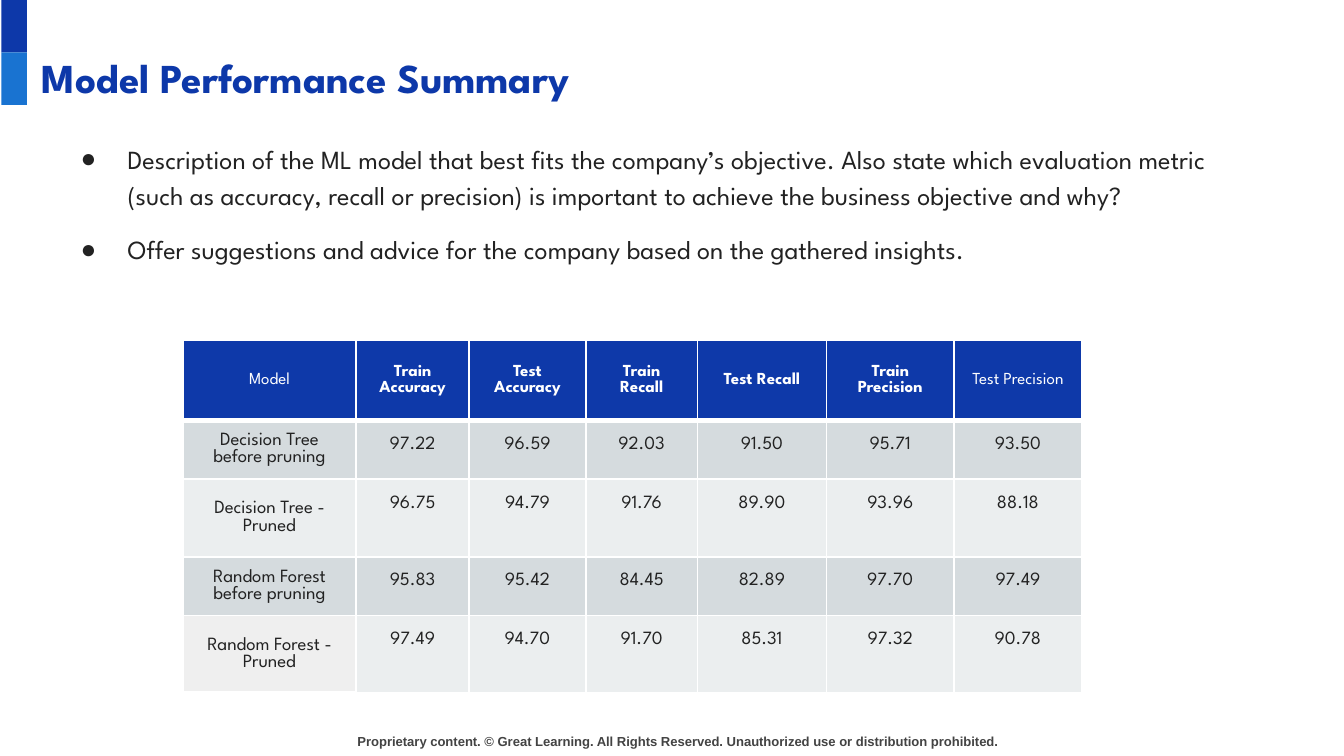
from pptx import Presentation
from pptx.dml.color import RGBColor
from pptx.enum.shapes import MSO_SHAPE
from pptx.enum.text import MSO_ANCHOR, PP_ALIGN
from pptx.oxml.ns import qn
from pptx.util import Inches, Pt
from lxml.etree import SubElement

# Content
TITLE = "Model Performance Summary"
POINTS = [
    "Description of the ML model that best fits the company’s objective. Also state which "
    "evaluation metric (such as accuracy, recall or precision) is important to achieve the "
    "business objective and why?",
    "Offer suggestions and advice for the company based on the gathered insights.",
]
FOOTER = ("Proprietary content. © Great Learning. All Rights Reserved. "
          "Unauthorized use or distribution prohibited.")
HEADS = ["Model", "Train Accuracy", "Test Accuracy", "Train Recall",
         "Test Recall", "Train Precision", "Test Precision"]
SCORES = [
    ("Decision Tree before pruning", "97.22", "96.59", "92.03", "91.50", "95.71", "93.50"),
    ("Decision Tree - Pruned", "96.75", "94.79", "91.76", "89.90", "93.96", "88.18"),
    ("Random Forest before pruning", "95.83", "95.42", "84.45", "82.89", "97.70", "97.49"),
    ("Random Forest - Pruned", "97.49", "94.70", "91.70", "85.31", "97.32", "90.78"),
]
LIGHT_HEADS = ("Model", "Test Precision")
COLS = [1.29, 0.84, 0.87, 0.83, 0.96, 0.95, 0.95]
ROWS = [0.6, 0.42, 0.58, 0.42, 0.58]
FONT = "League Spartan"
BLUE, SKY, INK, WHITE = "0D38A9", "1973D1", "222222", "FFFFFF"
BANDS = ["D5DBDE", "EBEEEF"]


def paint(fill, color):
    fill.solid()
    fill.fore_color.rgb = RGBColor.from_string(color)


def style(par, size, color, bold=False, font=FONT):
    for run in par.runs:
        run.font.name, run.font.size, run.font.bold = font, Pt(size), bold
        run.font.color.rgb = RGBColor.from_string(color)


def place(shape, left, top, width, height):
    shape.left, shape.top = Inches(left), Inches(top)
    shape.width, shape.height = Inches(width), Inches(height)


def inset(box, side, top, bottom):
    box.margin_left = box.margin_right = Inches(side)
    box.margin_top, box.margin_bottom = Inches(top), Inches(bottom)


def add_text(left, top, width, height, side=0):
    box = slide.shapes.add_textbox(0, 0, 0, 0)
    place(box, left, top, width, height)
    frame = box.text_frame
    frame.word_wrap = True
    inset(frame, side, 0.01, 0)
    return frame


def add_bullet(par):
    props = par._p.get_or_add_pPr()
    props.set("marL", str(Inches(0.5)))
    props.set("indent", str(Inches(-0.35)))
    tint = SubElement(props, qn("a:buClr"))
    SubElement(tint, qn("a:srgbClr"), val=INK)
    SubElement(props, qn("a:buFont"), typeface="Arial")
    SubElement(props, qn("a:buChar"), char="●")


def add_edges(cell, base):
    props = cell._tc.get_or_add_tcPr()
    for side in "LRTB":
        width = Pt(base if side == "B" else 1)
        line = SubElement(props, qn("a:ln" + side), w=str(width))
        fill = SubElement(line, qn("a:solidFill"))
        SubElement(fill, qn("a:srgbClr"), val=WHITE)


# A 16:9 slide
deck = Presentation()
deck.slide_width = Inches(10)
deck.slide_height = deck.slide_width * 9 // 16
slide = deck.slides.add_slide(deck.slide_layouts[5])

# Corner blocks
for i, color in enumerate([BLUE, SKY]):
    block = slide.shapes.add_shape(MSO_SHAPE.RECTANGLE, 0, 0, 0, 0)
    place(block, 0.01, 0.39 * i, 0.19, 0.39)
    block.shadow.inherit = False
    paint(block.fill, color)
    block.line.fill.background()

# Title
title = slide.shapes.title
place(title, 0.3, 0.38, 4.44, 0.38)
frame = title.text_frame
frame.text = TITLE
frame.vertical_anchor = MSO_ANCHOR.TOP
inset(frame, 0.01, 0.01, 0)
frame.paragraphs[0].alignment = PP_ALIGN.LEFT
style(frame.paragraphs[0], 22, BLUE, True)

# Footer
frame = add_text(2.65, 5.45, 5.4, 0.13, 0.01)
frame.text = FOOTER
style(frame.paragraphs[0], 7, "434343", True, "Arial")

# Bullet points
frame = add_text(0.45, 1.02, 8.99, 1.2)
for i, point in enumerate(POINTS):
    par = frame.add_paragraph() if i else frame.paragraphs[0]
    par.text = point
    par.line_spacing = 1.15
    par.space_before = Pt(10 if i else 0)
    add_bullet(par)
    style(par, 14, INK)

# Score table
holder = slide.shapes.add_table(len(ROWS), len(COLS), 0, 0, 0, 0)
place(holder, 1.36, 2.53, sum(COLS), sum(ROWS))
table = holder.table
for col, width in zip(table.columns, COLS):
    col.width = Inches(width)
for row, height in zip(table.rows, ROWS):
    row.height = Inches(height)
for r, texts in enumerate([HEADS] + SCORES):
    for c, text in enumerate(texts):
        cell = table.cell(r, c)
        head, score = r == 0, r > 0 and c > 0
        last = r == len(SCORES) and c == 0
        cell.text = text
        par = cell.text_frame.paragraphs[0]
        par.alignment = PP_ALIGN.CENTER
        if score:
            par.line_spacing = 1.15
        pad = 0.1 if score else 0.05
        inset(cell, 0.1, pad, pad)
        cell.vertical_anchor = MSO_ANCHOR.TOP if score else MSO_ANCHOR.MIDDLE
        add_edges(cell, 3 if head or last else 1)
        if head:
            paint(cell.fill, "0E39A9")
            style(par, 9, WHITE, text not in LIGHT_HEADS)
        else:
            paint(cell.fill, "EFEFEF" if last else BANDS[(r - 1) % 2])
            style(par, 10, INK)

deck.save("out.pptx")
